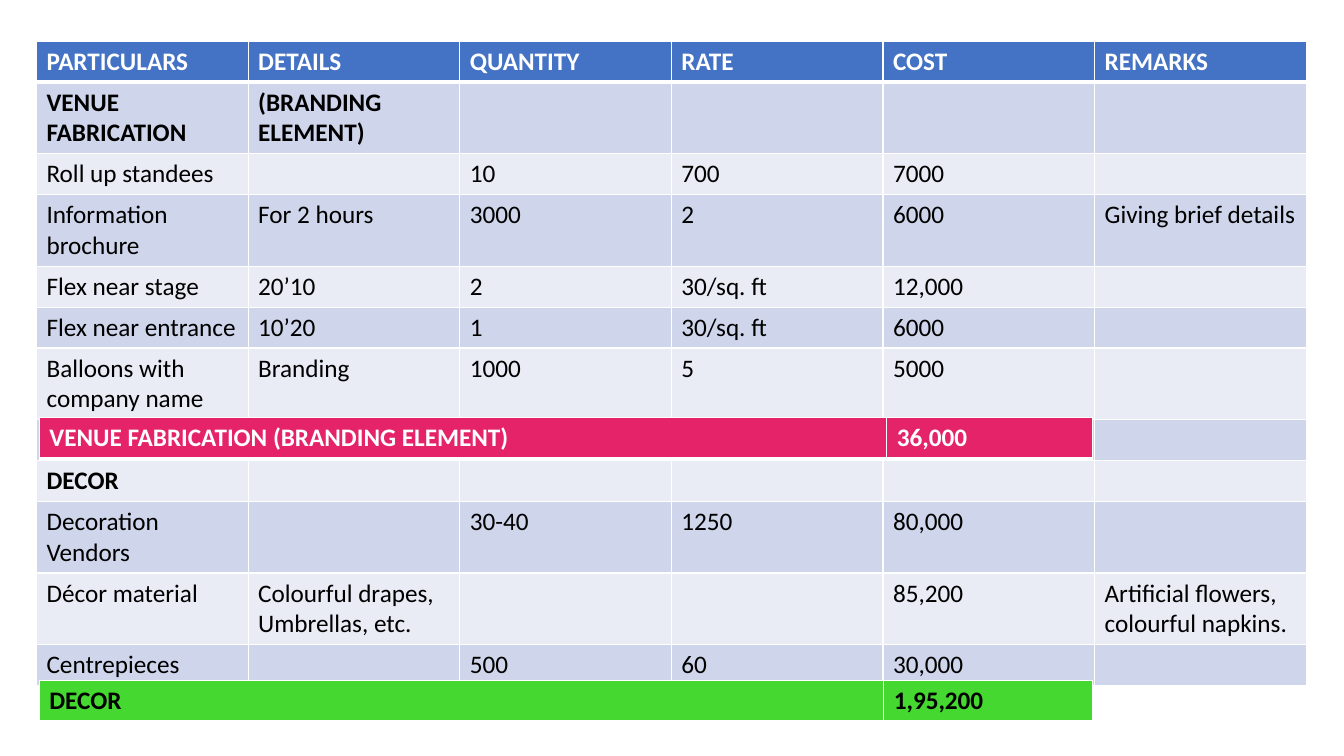
import dataclasses

import lxml.etree
import pptx
import pptx.dml.color
import pptx.oxml.ns
import pptx.util

Cm = pptx.util.Cm
Pt = pptx.util.Pt


@dataclasses.dataclass(frozen=True)
class Theme:
    font: str = "Calibri"
    size: int = 18
    white: str = "FFFFFF"
    black: str = "000000"
    header: str = "4472C4"
    bands: tuple = ("CFD5EA", "E9EBF5")
    venue: str = "E52368"
    decor: str = "44D830"
    thin: int = 1
    thick: int = 3


THEME = Theme()

HEADINGS = ["PARTICULARS", "DETAILS", "QUANTITY", "RATE", "COST", "REMARKS"]
SECTIONS = ("VENUE FABRICATION", "DECOR")
BUDGET = [
    ["VENUE FABRICATION", "(BRANDING ELEMENT)", "", "", "", ""],
    ["Roll up standees", "", "10", "700", "7000", ""],
    ["Information brochure", "For 2 hours", "3000", "2", "6000", "Giving brief details"],
    ["Flex near stage", "20’10", "2", "30/sq. ft", "12,000", ""],
    ["Flex near entrance", "10’20", "1", "30/sq. ft", "6000", ""],
    ["Balloons with company name", "Branding", "1000", "5", "5000", ""],
    ["", "", "", "", "", ""],
    ["DECOR", "", "", "", "", ""],
    ["Decoration Vendors", "", "30-40", "1250", "80,000", ""],
    ["Décor material", "Colourful drapes,\nUmbrellas, etc.", "", "", "85,200",
     "Artificial flowers, colourful napkins."],
    ["Centrepieces", "", "500", "60", "30,000", ""],
]


def rgb(color):
    return pptx.dml.color.RGBColor.from_string(color)


def write(tf, text, color=THEME.black, bold=False, size=THEME.size):
    for i, line in enumerate(text.split("\n")):
        p = tf.add_paragraph() if i else tf.paragraphs[0]
        p.font.size = Pt(size)
        if line:
            r = p.add_run()
            r.text = line
            r.font.name = THEME.font
            r.font.size = Pt(size)
            r.font.bold = bold
            r.font.color.rgb = rgb(color)


def set_borders(cell, bottom):
    qn = pptx.oxml.ns.qn
    tcPr = cell._tc.get_or_add_tcPr()
    for side, width in zip("LRTB", (THEME.thin, THEME.thin, THEME.thin, bottom)):
        ln = lxml.etree.SubElement(tcPr, qn(f"a:ln{side}"), w=str(Pt(width)))
        fill = lxml.etree.SubElement(ln, qn("a:solidFill"))
        lxml.etree.SubElement(fill, qn("a:srgbClr"), val=THEME.white)


def fill_cell(cell, text, fill, bottom=THEME.thin, **fmt):
    set_borders(cell, bottom)
    cell.fill.solid()
    cell.fill.fore_color.rgb = rgb(fill)
    write(cell.text_frame, text, **fmt)


def new_table(s, box, rows, widths):
    left, top, width, height = (Cm(v) for v in box)
    table = s.shapes.add_table(rows, len(widths), left, top, width, height).table
    for column, w in zip(table.columns, widths):
        column.width = Cm(w)
    return table


def budget_table(s, box):
    columns = len(HEADINGS)
    table = new_table(s, box, len(BUDGET) + 1, [box[2] / columns] * columns)
    for c, heading in enumerate(HEADINGS):
        fill_cell(table.cell(0, c), heading, THEME.header, THEME.thick,
                  color=THEME.white, bold=True)
    for r, row in enumerate(BUDGET):
        for c, text in enumerate(row):
            fill_cell(table.cell(r + 1, c), text, THEME.bands[r % 2],
                      bold=row[0] in SECTIONS)


def total_bar(s, box, label, total, total_width, fill, color):
    table = new_table(s, box, 1, [box[2] - total_width, total_width])
    for c, text in enumerate((label, total)):
        fill_cell(table.cell(0, c), text, fill, THEME.thick, color=color, bold=True)


def main():
    prs = pptx.Presentation()
    prs.slide_width, prs.slide_height = Cm(33.87), Cm(19.05)
    s = prs.slides.add_slide(prs.slide_layouts[6])
    budget_table(s, (0.92, 1.04, 32, 12.36))
    total_bar(s, (0.99, 10.52, 26.54, 1.03), "VENUE FABRICATION (BRANDING ELEMENT)",
              "36,000", 5.18, THEME.venue, THEME.white)
    total_bar(s, (0.99, 17.15, 26.54, 1.02), "DECOR",
              "1,95,200", 5.26, THEME.decor, THEME.black)
    prs.save("out.pptx")


main()
